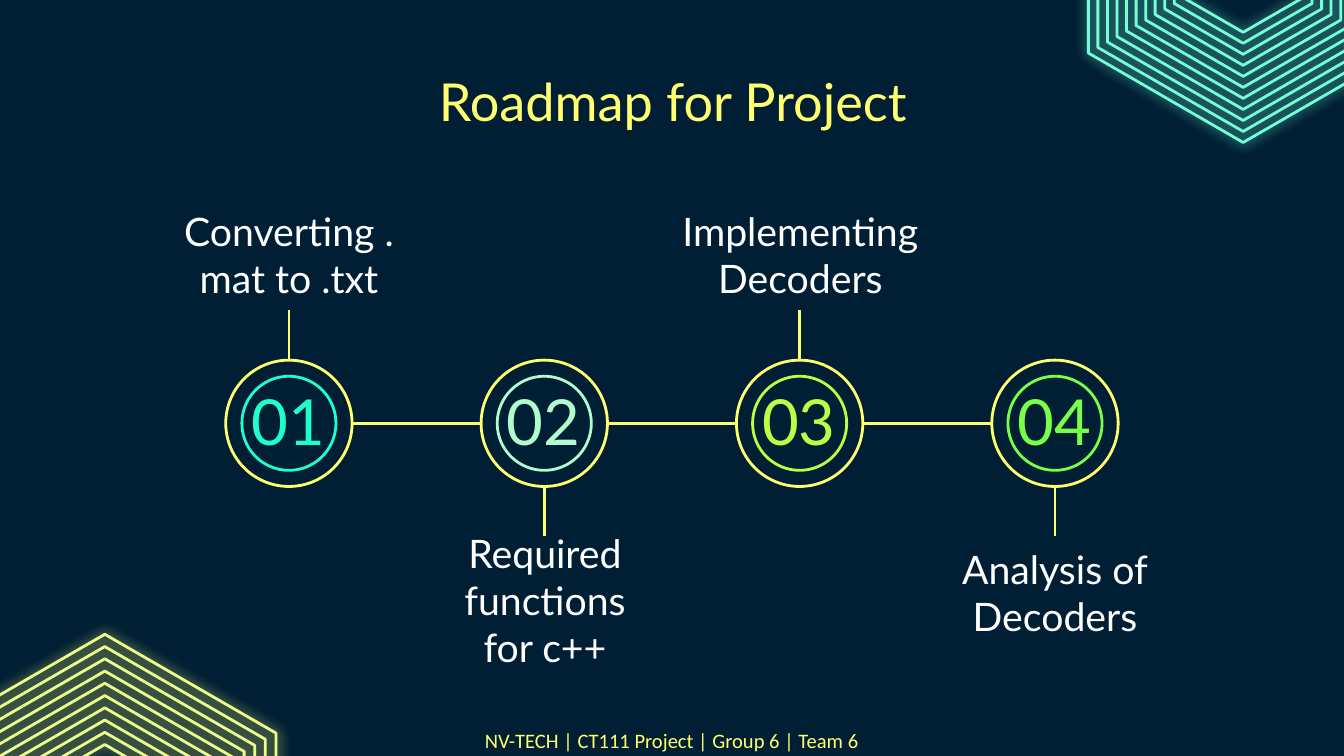
from math import cos, pi, sin

from lxml.etree import SubElement
from pptx import Presentation
from pptx.dml.color import RGBColor
from pptx.enum.shapes import MSO_CONNECTOR as Connector, MSO_SHAPE as Shape
from pptx.enum.text import MSO_ANCHOR as Anchor, MSO_AUTO_SIZE as AutoSize, PP_ALIGN as Align
from pptx.oxml.ns import qn
from pptx.util import Inches, Pt

TITLE = "Roadmap for Project"
FOOTER = "NV-TECH | CT111 Project | Group 6 | Team 6"
# number, colour, label paragraphs, label box (left, top, width, height), side of the label
MILESTONES = [
    ("01", "1FFFCE", ["Converting .mat to .txt"], (1.25, 1.79, 1.8, 0.21), "above"),
    ("02", "B0FCCE", ["Required functions for c++"], (3.33, 3.98, 1.45, 0.96), "below"),
    ("03", "BCFD45", ["Implementing Decoders"], (4.94, 1.79, 2.03, 0.21), "above"),
    ("04", "77FF4A", ["Analysis of", "Decoders"], (6.95, 3.98, 1.8, 0.85), "below"),
]
# centre x, centre y, outer radius, inner radius, rings, line colour, glow colour
HEXAGONS = [
    (0.78, 6.19, 1.47, 0.65, 10, "ECFF8C", "FFFF70"),
    (9.25, -0.27, 1.33, 0.51, 11, "75FFD7", "75FFD7"),
]
THEME = {
    "background": "001F35", "accent": "FFFF70", "text": "FFFFFF",
    "font": "Lato", "footer font": "Calibri",
    "title": 28, "label": 21, "number": 34, "footer": 11, "line": 1.5,
}
SLIDE_WIDTH = 10
SLIDE_HEIGHT = SLIDE_WIDTH * 9 / 16
FIRST_X, CENTRE_Y, PITCH = 2.15, 3.15, 1.9
OUTER, INNER, STEM = 0.47, 0.35, 0.37


def rgb(colour):
    return RGBColor.from_string(colour)


def set_line(shape, colour):
    shape.line.color.rgb = rgb(colour)
    shape.line.width = Pt(THEME["line"])


def write(shape, paragraphs, size, colour, font=THEME["font"], anchor=Anchor.MIDDLE):
    frame = shape.text_frame
    frame.word_wrap = True
    frame.auto_size = AutoSize.NONE
    frame.vertical_anchor = anchor
    frame.margin_left = frame.margin_right = Inches(0.1)
    frame.margin_top = frame.margin_bottom = Inches(0.1)
    for index, text in enumerate(paragraphs):
        paragraph = frame.add_paragraph() if index else frame.paragraphs[0]
        paragraph.alignment = Align.CENTER
        run = paragraph.add_run()
        run.text = text
        run.font.size = Pt(size)
        run.font.name = font
        run.font.color.rgb = rgb(colour)


def add_text(slide, box, *args, **kwargs):
    write(slide.shapes.add_textbox(*map(Inches, box)), *args, **kwargs)


def add_line(slide, x1, y1, x2, y2):
    line = slide.shapes.add_connector(Connector.STRAIGHT, *map(Inches, (x1, y1, x2, y2)))
    set_line(line, THEME["accent"])
    SubElement(line.element.spPr, qn("a:effectLst"))


def add_ring(slide, x, y, radius, colour):
    box = (x - radius, y - radius, 2 * radius, 2 * radius)
    ring = slide.shapes.add_shape(Shape.OVAL, *map(Inches, box))
    ring.shadow.inherit = False
    ring.fill.background()
    set_line(ring, colour)


def add_glow(shape, colour):
    shape.shadow.inherit = False
    effects = shape.element.spPr.find(qn("a:effectLst"))
    glow = SubElement(effects, qn("a:outerShdw"), blurRad=str(Pt(6.8)), dist="0",
                      dir="0", algn="bl", rotWithShape="0")
    shade = SubElement(glow, qn("a:srgbClr"), val=colour)
    SubElement(shade, qn("a:alpha"), val="90000")


def add_hexagons(slide, x, y, outer, inner, rings, colour, glow):
    """Draw concentric pointy-top hexagons, from the outermost inwards."""
    step = (outer - inner) / (rings - 1)
    for ring in range(rings):
        radius = outer - ring * step
        points = [(Inches(x - radius * sin(k * pi / 3)), Inches(y - radius * cos(k * pi / 3)))
                  for k in range(6)]
        builder = slide.shapes.build_freeform(*points[0])
        builder.add_line_segments(points[1:], close=True)
        hexagon = builder.convert_to_shape()
        hexagon.fill.background()
        set_line(hexagon, colour)
        add_glow(hexagon, glow)


def add_milestone(slide, x, number, colour, label, label_box, side):
    direction = -1 if side == "above" else 1
    edge = CENTRE_Y + direction * OUTER
    add_line(slide, x, edge, x, edge + direction * STEM)
    add_ring(slide, x, CENTRE_Y, OUTER, THEME["accent"])
    add_ring(slide, x, CENTRE_Y, INNER, colour)
    add_text(slide, label_box, label, THEME["label"], THEME["text"])
    add_text(slide, (x - 0.39, 2.87, 0.77, 0.51), [number], THEME["number"], colour)


def main():
    presentation = Presentation()
    presentation.slide_width = Inches(SLIDE_WIDTH)
    presentation.slide_height = Inches(SLIDE_HEIGHT)
    slide = presentation.slides.add_slide(presentation.slide_layouts[5])
    slide.background.fill.solid()
    slide.background.fill.fore_color.rgb = rgb(THEME["background"])

    for hexagons in HEXAGONS:
        add_hexagons(slide, *hexagons)

    title = slide.shapes.title
    title.left, title.top, title.width, title.height = map(Inches, (0.76, 0.59, 8.49, 0.32))
    write(title, [TITLE], THEME["title"], THEME["accent"])

    for index, milestone in enumerate(MILESTONES):
        x = FIRST_X + index * PITCH
        add_milestone(slide, x, *milestone)
        if index:
            add_line(slide, x - PITCH + OUTER, CENTRE_Y, x - OUTER, CENTRE_Y)

    add_text(slide, (2.72, 5.32, 4.56, 0.39), [FOOTER], THEME["footer"], THEME["accent"],
             font=THEME["footer font"], anchor=Anchor.TOP)
    presentation.save("out.pptx")


if __name__ == "__main__":
    main()
